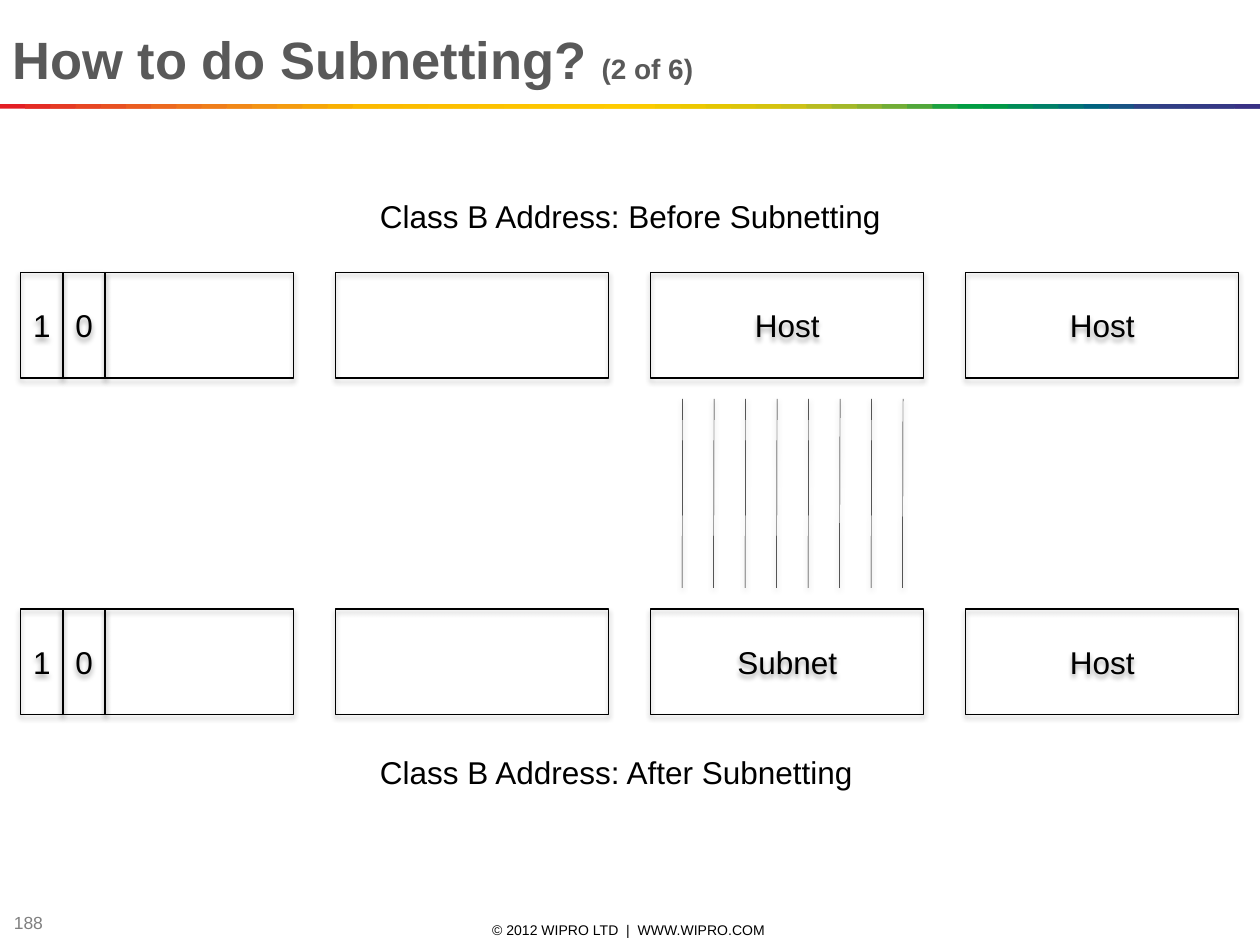
from dataclasses import dataclass

from lxml.etree import SubElement
from pptx import Presentation
from pptx.dml.color import RGBColor
from pptx.enum.shapes import MSO_CONNECTOR, MSO_SHAPE
from pptx.enum.text import MSO_ANCHOR, MSO_AUTO_SIZE, PP_ALIGN
from pptx.oxml.ns import qn
from pptx.util import Cm, Pt

FONT = "Arial"
BLACK = RGBColor(0x00, 0x00, 0x00)
TITLE_GREY = RGBColor(0x59, 0x59, 0x59)
NUMBER_GREY = RGBColor(0x80, 0x80, 0x80)
RAINBOW = tuple(RGBColor.from_string(code) for code in (
    "E31E24 E42C24 E53A24 E74623 E85122 EA5D21 EC691F EE741D EF7E1A F18817 "
    "F39314 F49C0F F6A607 F8B002 FBBA00 FBBB00 FBBD00 FCBF00 FCC000 FCC200 "
    "FDC400 FDC600 FDC700 FEC900 FECB00 FBCB00 F3CA00 ECC800 E4C602 DCC50A "
    "D5C30E CCC117 B8BC21 A3B829 8CB230 71AD36 51A73B 1DA240 009D43 009846 "
    "008C57 008068 007275 00637F 185384 2E4285 313E85 333B85 353885 393185"
).split())

SLIDE_WIDTH = 25.4
OCTET_LEFT = 0.42
OCTET_PITCH = 6.35
OCTET_WIDTH = 5.5
OCTET_HEIGHT = 2.12
BIT_WIDTH = 0.85
BIT_LINES = 8


@dataclass(frozen=True)
class Label:
    text: str
    left: float
    top: float
    width: float
    height: float
    size: float = 18
    color: RGBColor = BLACK
    align: PP_ALIGN = PP_ALIGN.LEFT
    anchor: MSO_ANCHOR = MSO_ANCHOR.TOP
    wrap: bool = False
    compact: bool = False


@dataclass(frozen=True)
class AddressRow:
    top: float
    third_octet: str
    fourth_octet: str


LABELS = (
    Label("Class B Address: Before Subnetting", 7.41, 3.84, 10.7, 1.02),
    Label("Class B Address: After Subnetting", 7.41, 15.06, 10.13, 1.02),
    Label("© 2012 WIPRO LTD  |  WWW.WIPRO.COM ", 8.69, 18.54, 8.05, 0.41, 8,
          align=PP_ALIGN.CENTER, anchor=MSO_ANCHOR.MIDDLE, wrap=True, compact=True),
    Label("188", 0.03, 18.34, 1.9, 0.53, 10, NUMBER_GREY,
          anchor=MSO_ANCHOR.MIDDLE, wrap=True),
)
ROWS = (AddressRow(5.5, "Host", "Host"), AddressRow(12.28, "Subnet", "Host"))


def style_run(run, size: float, color: RGBColor, bold: bool = False) -> None:
    run.font.name = FONT
    run.font.size = Pt(size)
    run.font.color.rgb = color
    run.font.bold = bold


def set_shadow(item, opacity: int, distance: float) -> None:
    properties = item._element.spPr
    effects = properties.find(qn("a:effectLst"))
    if effects is None:
        effects = SubElement(properties, qn("a:effectLst"))
    shadow = SubElement(effects, qn("a:outerShdw"), blurRad=str(Pt(3.1)),
                        dist=str(Pt(distance)), dir="5400000", rotWithShape="0")
    color = SubElement(shadow, qn("a:srgbClr"), val=str(BLACK))
    SubElement(color, qn("a:alpha"), val=str(opacity * 1000))


def add_label(slide, label: Label) -> None:
    box = slide.shapes.add_textbox(Cm(label.left), Cm(label.top),
                                   Cm(label.width), Cm(label.height))
    frame = box.text_frame
    frame.text = label.text
    frame.word_wrap = label.wrap
    frame.vertical_anchor = label.anchor
    if label.compact:
        frame.margin_left = frame.margin_right = 0
        frame.margin_top = frame.margin_bottom = 0
    frame.paragraphs[0].alignment = label.align
    style_run(frame.paragraphs[0].runs[0], label.size, label.color)


def add_cell(slide, left: float, top: float, width: float, text: str = "") -> None:
    cell = slide.shapes.add_shape(MSO_SHAPE.RECTANGLE, Cm(left), Cm(top),
                                  Cm(width), Cm(OCTET_HEIGHT))
    cell.fill.background()
    cell.line.color.rgb = BLACK
    cell.line.width = Pt(0.75)
    cell.shadow.inherit = False
    set_shadow(cell, 35, 1.8)
    if text:
        frame = cell.text_frame
        frame.text = text
        frame.margin_left = frame.margin_right = 0
        frame.vertical_anchor = MSO_ANCHOR.MIDDLE
        frame.paragraphs[0].alignment = PP_ALIGN.CENTER
        style_run(frame.paragraphs[0].runs[0], 18, BLACK)


def add_address_row(slide, row: AddressRow) -> None:
    prefix = "10"
    for position, bit in enumerate(prefix):
        add_cell(slide, OCTET_LEFT + position * BIT_WIDTH, row.top, BIT_WIDTH, bit)
    prefix_width = len(prefix) * BIT_WIDTH
    add_cell(slide, OCTET_LEFT + prefix_width, row.top, OCTET_WIDTH - prefix_width)
    for octet, text in enumerate(("", row.third_octet, row.fourth_octet), start=1):
        add_cell(slide, OCTET_LEFT + octet * OCTET_PITCH, row.top, OCTET_WIDTH, text)


def add_bit_line(slide, left: float) -> None:
    bit_line = slide.shapes.add_connector(MSO_CONNECTOR.STRAIGHT, Cm(left), Cm(8.04),
                                          Cm(left - 0.01), Cm(11.85))
    bit_line.line.color.rgb = BLACK
    bit_line.line.width = Pt(0.25)
    set_shadow(bit_line, 38, 1.6)


def add_rainbow(slide) -> None:
    step = SLIDE_WIDTH / len(RAINBOW)
    for position, color in enumerate(RAINBOW):
        left = position * step
        band = slide.shapes.add_shape(MSO_SHAPE.RECTANGLE, Cm(left), Cm(2.1),
                                      Cm(min(2 * step, SLIDE_WIDTH - left)), Cm(0.09))
        band.fill.solid()
        band.fill.fore_color.rgb = color
        band.line.fill.background()
        band.shadow.inherit = False


def format_title(slide) -> None:
    title = slide.shapes.title
    title.left, title.top = Cm(0), Cm(0.41)
    title.width, title.height = Cm(SLIDE_WIDTH), Cm(1.55)
    frame = title.text_frame
    frame.text = "How to do Subnetting? "
    frame.auto_size = MSO_AUTO_SIZE.NONE
    frame.vertical_anchor = MSO_ANCHOR.TOP
    heading = frame.paragraphs[0]
    heading.alignment = PP_ALIGN.LEFT
    style_run(heading.runs[0], 30, TITLE_GREY, True)
    counter = heading.add_run()
    counter.text = "(2 of 6)"
    style_run(counter, 16, TITLE_GREY, True)


def main() -> None:
    deck = Presentation()
    deck.slide_width, deck.slide_height = Cm(SLIDE_WIDTH), Cm(19.05)
    slide = deck.slides.add_slide(deck.slide_layouts[5])
    format_title(slide)
    add_rainbow(slide)
    for row in ROWS:
        add_address_row(slide, row)
    for position in range(BIT_LINES):
        add_bit_line(slide, 13.76 + position * OCTET_PITCH / 10)
    for label in LABELS:
        add_label(slide, label)
    deck.save("out.pptx")


if __name__ == "__main__":
    main()
